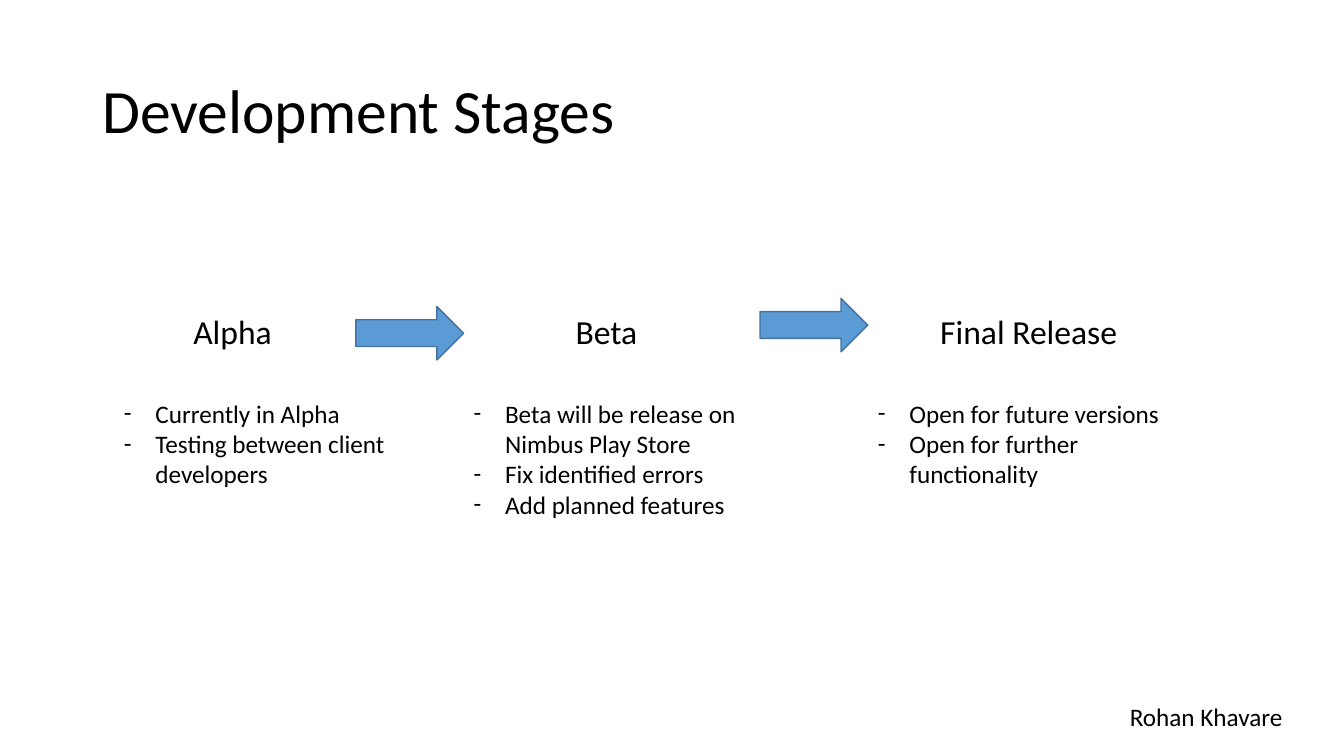
from lxml import etree
from pptx import Presentation
from pptx.dml.color import RGBColor
from pptx.enum import shapes, text
from pptx.oxml import ns
from pptx.util import Pt

BLACK = RGBColor(0x00, 0x00, 0x00)
BLUE = RGBColor(0x5B, 0x9B, 0xD5)
DARK_BLUE = RGBColor(0x43, 0x73, 0x9E)


class Deck:
    font = "Calibri"
    indent = Pt(22.5)

    def __init__(self, width, height):
        self.prs = Presentation()
        self.prs.slide_width = Pt(width)
        self.prs.slide_height = Pt(height)
        self.s = self.prs.slides.add_slide(self.prs.slide_layouts[6])

    def text(self, x, y, w, h, paragraphs, size, bullets=False, wrap=True,
             anchor=text.MSO_ANCHOR.TOP, spacing=None):
        sp = self.s.shapes.add_textbox(Pt(x), Pt(y), Pt(w), Pt(h))
        tf = sp.text_frame
        tf.word_wrap = wrap
        tf.vertical_anchor = anchor
        for i, content in enumerate(paragraphs):
            p = tf.paragraphs[0] if i == 0 else tf.add_paragraph()
            if spacing:
                p.line_spacing = spacing
            if bullets:
                self.bullet(p)
            for j, line in enumerate(content.split("\n")):
                if j:
                    p.add_line_break()
                r = p.add_run()
                r.text = line
                r.font.name = self.font
                r.font.size = Pt(size)
                r.font.color.rgb = BLACK

    def bullet(self, p):
        pPr = p._p.get_or_add_pPr()
        pPr.set("marL", str(self.indent))
        pPr.set("indent", str(-self.indent))
        etree.SubElement(pPr, ns.qn("a:buFont")).set("typeface", self.font)
        etree.SubElement(pPr, ns.qn("a:buChar")).set("char", "-")

    def arrow(self, x, y, w, h):
        sp = self.s.shapes.add_shape(
            shapes.MSO_SHAPE.RIGHT_ARROW, Pt(x), Pt(y), Pt(w), Pt(h))
        sp.shadow.inherit = False
        sp.fill.solid()
        sp.fill.fore_color.rgb = BLUE
        sp.line.color.rgb = DARK_BLUE
        sp.line.width = Pt(1)


STAGES = [
    ("Alpha", 131, 71.3, 81.4, 207.4,
     ["Currently in Alpha", "Testing between client\ndevelopers"]),
    ("Beta", 404, 59, 331.2, 203.8,
     ["Beta will be release on\nNimbus Play Store",
      "Fix identified errors", "Add planned features"]),
    ("Final Release", 664.5, 142.6, 620, 224,
     ["Open for future versions", "Open for further functionality"]),
]
ARROWS = [(254.2, 218.9), (542.9, 213.1)]

deck = Deck(960, 540)
deck.text(66, 28.8, 828, 104.4, ["Development Stages"], 44,
          anchor=text.MSO_ANCHOR.MIDDLE, spacing=0.9)
for x, y in ARROWS:
    deck.arrow(x, y, 77, 38.2)
for name, name_x, name_w, notes_x, notes_w, notes in STAGES:
    deck.text(name_x, 218.2, name_w, 36, [name], 24, wrap=False)
    deck.text(notes_x, 280.8, notes_w, 94.3, notes, 18, bullets=True)
deck.text(799.9, 497.5, 154.8, 28.8, ["Rohan Khavare"], 18)
deck.prs.save("out.pptx")
